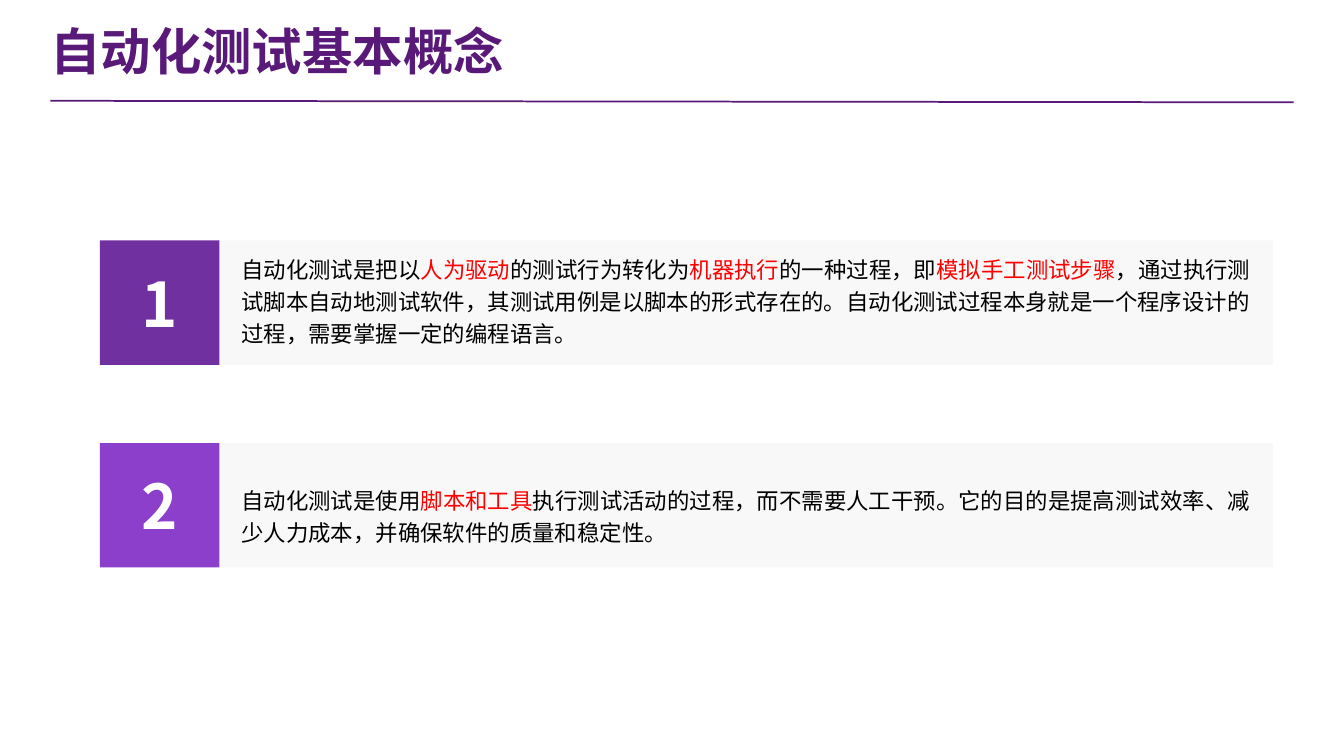
from lxml import etree
from pptx import Presentation
from pptx.dml.color import RGBColor
from pptx.enum.shapes import MSO_CONNECTOR, MSO_SHAPE
from pptx.enum.text import MSO_ANCHOR, PP_ALIGN
from pptx.oxml.ns import qn
from pptx.util import Emu, Pt

RECT = MSO_SHAPE.RECTANGLE
LINE = MSO_CONNECTOR.STRAIGHT
TOP, MID = MSO_ANCHOR.TOP, MSO_ANCHOR.MIDDLE
LEFT, MIDDLE = PP_ALIGN.LEFT, PP_ALIGN.CENTER
SCALE = 9144
CJK = "Noto Sans CJK SC"
BLACK, RED, WHITE, PURPLE = "000000", "FF0000", "FFFFFF", "591979"


def px(*nums):
    return [Emu(n * SCALE) for n in nums]


def color(code):
    return RGBColor.from_string(code)


def put(item, **vals):
    for name, val in vals.items():
        setattr(item, name, val)


class Deck:
    def __init__(self, wide, high):
        self.show = Presentation()
        wide, high = px(wide, high)
        put(self.show, slide_width=wide, slide_height=high)
        self.slide = self.show.slides.add_slide(self.show.slide_layouts[6])

    def rect(self, box, fill, alpha=None):
        shape = self.slide.shapes.add_shape(RECT, *px(*box))
        shape.shadow.inherit = False
        shape.line.fill.background()
        shape.fill.solid()
        shape.fill.fore_color.rgb = color(fill)
        if alpha:
            tone = shape.fill._xPr.find(".//" + qn("a:srgbClr"))
            etree.SubElement(tone, qn("a:alpha"), val=str(alpha * 1000))

    def text(self, box, runs, size, font=CJK, bold=False, align=LEFT,
             anchor=TOP, space=1.0, inset=(10, 5)):
        frame = self.slide.shapes.add_textbox(*px(*box)).text_frame
        side, edge = px(*inset)
        put(frame, word_wrap=True, vertical_anchor=anchor, margin_left=side,
            margin_right=side, margin_top=edge, margin_bottom=edge)
        para = frame.paragraphs[0]
        put(para, alignment=align, line_spacing=space)
        for words, tint in runs:
            run = para.add_run()
            run.text = words
            put(run.font, size=Pt(size), name=font, bold=bold)
            run.font.color.rgb = color(tint)
            etree.SubElement(run.font._element, qn("a:ea"), typeface=CJK)

    def rule(self, ends, tint, width):
        line = self.slide.shapes.add_connector(LINE, *px(*ends))
        line.line.color.rgb = color(tint)
        line.line.width = Pt(width)
        etree.SubElement(line._element.spPr, qn("a:effectLst"))


def main():
    deck = Deck(2667, 1500)
    deck.text((100, 33, 1367, 133), [("自动化测试基本概念", PURPLE)], 72,
              font="Arial", bold=True, anchor=MID, inset=(0, 0))
    deck.rule((100, 200, 2567, 203), PURPLE, 2.5)

    cards = [
        ("7030A0", 18, [
            ("自动化测试是把以", BLACK), ("人为驱动", RED),
            ("的测试行为转化为", BLACK), ("机器执行", RED),
            ("的一种过程，即", BLACK), ("模拟手工测试步骤", RED),
            ("，通过执行测试脚本自动地测试软件，其测试用例是以脚本的形式存在的。"
             "自动化测试过程本身就是一个程序设计的过程，需要掌握一定的编程语言。",
             BLACK)]),
        ("8C3FCB", 33, [
            ("自动化测试是使用", BLACK), ("脚本和工具", RED),
            ("执行测试活动的过程，而不需要人工干预。它的目的是提高测试效率、"
             "减少人力成本，并确保软件的质量和稳定性。", BLACK)]),
    ]
    for i, (fill, drop, runs) in enumerate(cards):
        top = 477 + 402 * i
        deck.rect((198, top, 238, 247), fill)
        deck.rect((435, top, 2091, 247), "F2F2F2", alpha=50)
        deck.text((469, top + drop, 2023, 214 - 19 * (1 - i)), runs, 32,
                  anchor=MID, space=1.2)
        deck.text((261, top + 45, 111, 158), [(str(i + 1), WHITE)], 88,
                  bold=True, align=MIDDLE)

    deck.show.save("out.pptx")


if __name__ == "__main__":
    main()
